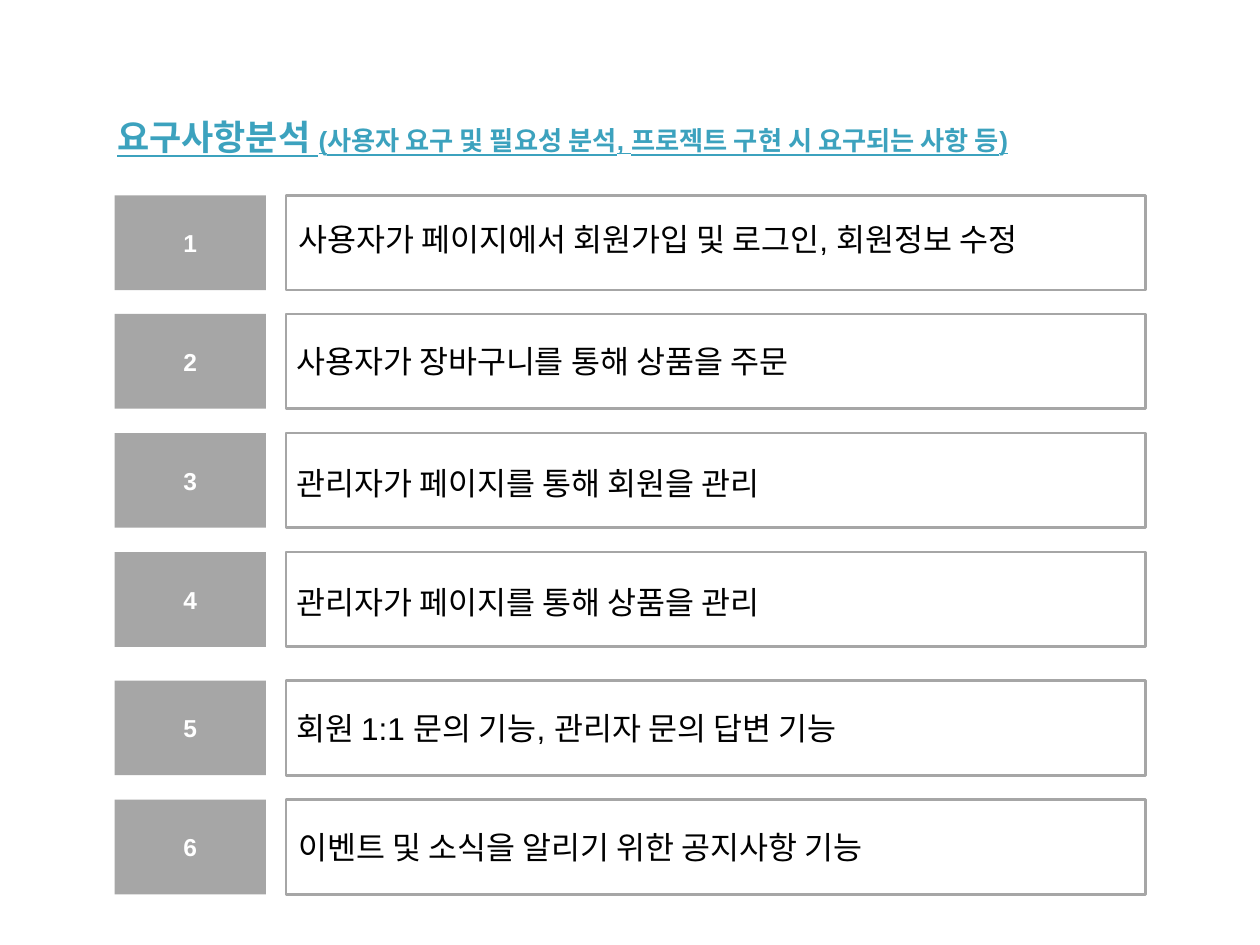
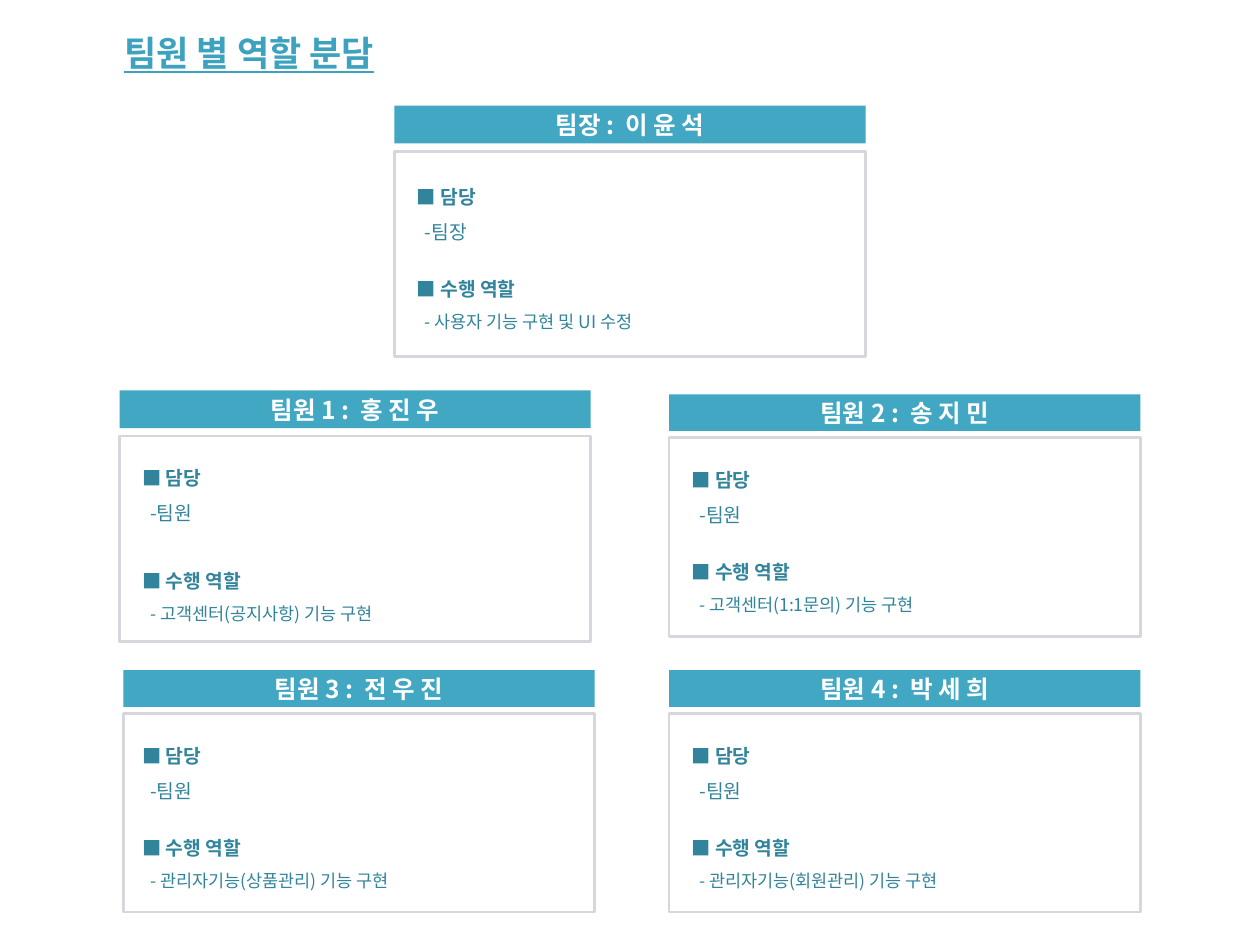
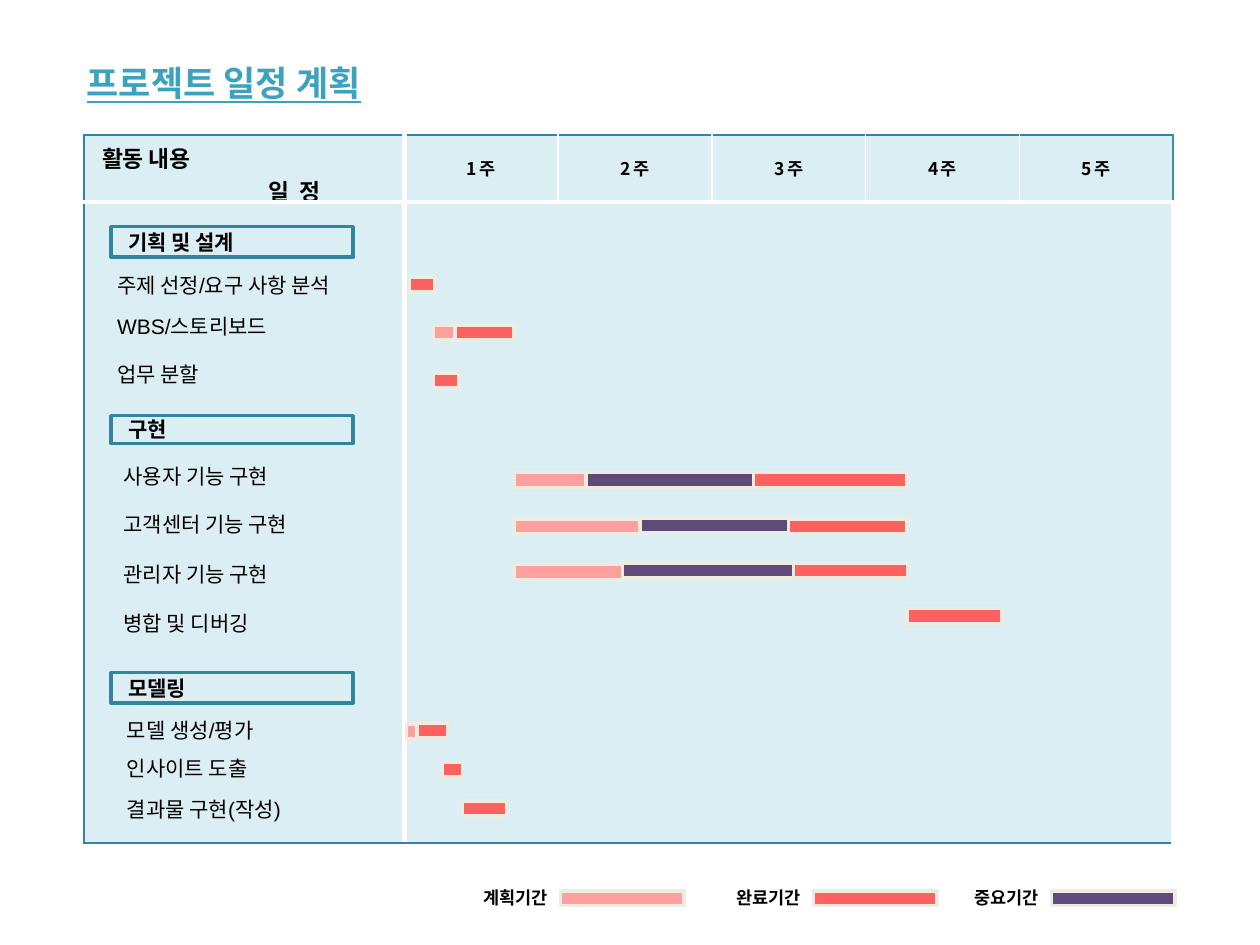
"""Build the requirements, team roles and schedule slides of a project plan."""
from lxml import etree
from pptx import Presentation
from pptx.dml.color import RGBColor
from pptx.enum.shapes import MSO_SHAPE
from pptx.enum.text import MSO_ANCHOR, PP_ALIGN
from pptx.oxml.ns import qn
from pptx.util import Cm, Pt

RECTANGLE = MSO_SHAPE.RECTANGLE
MIDDLE, CENTER = MSO_ANCHOR.MIDDLE, PP_ALIGN.CENTER
ARIAL, NOTO = "Arial", "Noto Sans CJK KR"

WHITE = RGBColor(0xFF, 0xFF, 0xFF)
BLACK = RGBColor(0x00, 0x00, 0x00)
TITLE_BLUE = RGBColor(0x3C, 0xA2, 0xBE)
GRAY = RGBColor(0xA6, 0xA6, 0xA6)
BAND_BLUE = RGBColor(0x41, 0xA7, 0xC3)
CARD_EDGE = RGBColor(0xD6, 0xD7, 0xDE)
ROLE_TEAL = RGBColor(0x31, 0x84, 0x9B)
GRID_TEAL = RGBColor(0x31, 0x85, 0x9C)
GRID_RIGHT = RGBColor(0x36, 0x93, 0xAC)
PALE_BLUE = RGBColor(0xDB, 0xEE, 0xF4)
BAR_EDGE = RGBColor(0xEE, 0xEC, 0xE1)
PLANNED = RGBColor(0xFF, 0x9F, 0x9F)
DONE = RGBColor(0xFF, 0x61, 0x61)
KEY = RGBColor(0x60, 0x4A, 0x7B)

REQUIREMENTS_TITLE = [("요구사항분석 ", 20),
                      ("(사용자 요구 및 필요성 분석, 프로젝트 구현 시 요구되는 사항 등)", 15)]
# requirement, row top, text left, text top
REQUIREMENTS = [
    ("사용자가 페이지에서 회원가입 및 로그인, 회원정보 수정", 3.94, 5.77, 4.32),
    ("사용자가 장바구니를 통해 상품을 주문", 6.33, 5.72, 6.78),
    ("관리자가 페이지를 통해 회원을 관리", 8.73, 5.72, 9.22),
    ("관리자가 페이지를 통해 상품을 관리", 11.13, 5.72, 11.63),
    ("회원 1:1 문의 기능, 관리자 문의 답변 기능", 13.72, 5.72, 14.17),
    ("이벤트 및 소식을 알리기 위한 공지사항 기능", 16.12, 5.77, 16.56),
]

ROLES_TITLE = [("팀원 별 역할 분담", 20)]
TALL_CARD = {"band": 0.76, "body_offset": 0.92, "body": 4.14}
LOW_CARD = {"band": 0.74, "body_offset": 0.87, "body": 4.01}
# member, position, task, left, top, text left, text height, gap before task, card size
MEMBERS = [
    ("팀장 :  이 윤 석", "-팀장", "- 사용자 기능 구현 및 UI 수정",
     7.95, 2.13, 8.15, 3.48, 13, TALL_CARD),
    ("팀원 1 :  홍 진 우", "-팀원", "- 고객센터(공지사항) 기능 구현",
     2.41, 7.87, 2.62, 3.63, 19, TALL_CARD),
    ("팀원 2 :  송 지 민", "-팀원", "- 고객센터(1:1문의) 기능 구현",
     13.49, 7.95, 13.69, 3.48, 13, LOW_CARD),
    ("팀원 3 :  전 우 진", "-팀원", "- 관리자기능(상품관리) 기능 구현",
     2.49, 13.51, 2.62, 3.48, 13, LOW_CARD),
    ("팀원 4 :  박 세 희", "-팀원", "- 관리자기능(회원관리) 기능 구현",
     13.49, 13.51, 13.69, 3.48, 13, LOW_CARD),
]

SCHEDULE_TITLE = [("프로젝트 일정 계획", 20)]
SCHEDULE_CORNER = (" 활동 내용", "일  정")
WEEKS = ["1  주", "2  주", "3  주", "4  주", "5  주"]
# phase, top, height, left of its tasks, tasks as (name, top, bars as (left, top, width, state))
PHASES = [
    (" 기획 및 설계", 4.57, 0.61, 2.11, [
        ("주제 선정/요구 사항 분석", 5.36, [(8.26, 5.59, 0.51, DONE)]),
        ("WBS/스토리보드", 6.2, [(8.74, 6.55, 0.51, PLANNED), (9.17, 6.55, 1.19, DONE)]),
        ("업무 분할", 7.16, [(8.74, 7.52, 0.51, DONE)]),
    ]),
    (" 구현", 8.38, 0.56, 2.24, [
        ("사용자 기능 구현", 9.22, [(10.36, 9.53, 1.5, PLANNED), (11.81, 9.53, 3.4, KEY),
                             (15.19, 9.53, 3.1, DONE)]),
        ("고객센터 기능 구현", 10.19, [(10.36, 10.46, 2.59, PLANNED), (12.9, 10.44, 3.0, KEY),
                               (15.9, 10.46, 2.39, DONE)]),
        ("관리자 기능 구현", 11.2, [(10.36, 11.38, 2.21, PLANNED), (12.55, 11.35, 3.51, KEY),
                             (16.0, 11.35, 2.31, DONE)]),
        ("병합 및 디버깅", 12.19, [(18.29, 12.27, 1.91, DONE)]),
    ]),
    (" 모델링", 13.56, 0.61, 2.31, [
        ("모델 생성/평가", 14.35, [(8.2, 14.6, 0.2, PLANNED), (8.41, 14.58, 0.61, DONE)]),
        ("인사이트 도출", 15.11, [(8.92, 15.37, 0.41, DONE)]),
        ("결과물 구현(작성)", 15.93, [(9.32, 16.15, 0.89, DONE)]),
    ]),
]
LEGEND = [("계획기간", 9.5, PLANNED), ("완료기간", 14.6, DONE), ("중요기간", 19.4, KEY)]


def style(paragraph, size, color, font=ARIAL, bold=False, underline=False):
    for run in paragraph.runs:
        run.font.size = Pt(size)
        run.font.name = font
        run.font.bold = bold
        run.font.underline = underline
        run.font.color.rgb = color
        east_asian = etree.SubElement(run.font._element, qn("a:ea"))
        east_asian.set("typeface", NOTO)


def indent(paragraph, distance):
    paragraph._p.get_or_add_pPr().set("marL", str(Cm(distance)))


def add_rect(slide, left, top, width, height, fill=None, edge=None, edge_width=1.5):
    rect = slide.shapes.add_shape(RECTANGLE, Cm(left), Cm(top), Cm(width), Cm(height))
    rect.shadow.inherit = False
    if fill is None:
        rect.fill.background()
    else:
        rect.fill.solid()
        rect.fill.fore_color.rgb = fill
    if edge is None:
        rect.line.fill.background()
    else:
        rect.line.color.rgb = edge
        rect.line.width = Pt(edge_width)
    return rect


def add_label(rect, text, size, color, font=ARIAL, align=CENTER):
    rect.text_frame.text = text
    rect.text_frame.vertical_anchor = MIDDLE
    paragraph = rect.text_frame.paragraphs[0]
    paragraph.alignment = align
    style(paragraph, size, color, font, bold=True)


def add_text(slide, text, left, top, width, height, size, bold=False):
    frame = slide.shapes.add_textbox(Cm(left), Cm(top), Cm(width), Cm(height)).text_frame
    frame.word_wrap = True
    frame.text = text
    style(frame.paragraphs[0], size, BLACK, bold=bold)


def add_title(slide, parts, left, top, width):
    frame = slide.shapes.add_textbox(Cm(left), Cm(top), Cm(width), Cm(1.12)).text_frame
    heading = frame.paragraphs[0]
    for text, _ in parts:
        heading.add_run().text = text
    style(heading, parts[0][1], TITLE_BLUE, bold=True, underline=True)
    for run, (_, size) in zip(heading.runs, parts):
        run.font.size = Pt(size)


def build_requirements(slide):
    add_title(slide, REQUIREMENTS_TITLE, 2.11, 2.21, 22.68)
    for number, (requirement, top, text_left, text_top) in enumerate(REQUIREMENTS, 1):
        number_box = add_rect(slide, 2.31, top, 3.05, 1.91, fill=GRAY)
        add_label(number_box, str(number), 14, WHITE)
        add_rect(slide, 5.77, top, 17.32, 1.91, edge=GRAY)
        add_text(slide, requirement, text_left, text_top, 17.32, 1.02, 18)


def add_member(slide, member, position, task, left, top, text_left, text_height, gap, size):
    band = add_rect(slide, left, top, 9.5, size["band"], fill=BAND_BLUE)
    add_label(band, member, 14, WHITE, NOTO)
    body_top = top + size["body_offset"]
    add_rect(slide, left, body_top, 9.5, size["body"], edge=CARD_EDGE)
    text_top = body_top + (size["body"] - text_height) / 2
    frame = slide.shapes.add_textbox(
        Cm(text_left), Cm(text_top), Cm(9.09), Cm(text_height)).text_frame
    frame.word_wrap = True
    frame.text = "\n".join(["■ 담당", position, "■ 수행 역할", task])
    for paragraph, text_size, heading in zip(
            frame.paragraphs, (11, 11, 11, 10), (True, False, True, False)):
        paragraph.line_spacing = 1.5
        style(paragraph, text_size, ROLE_TEAL, NOTO, bold=heading)
        if not heading:
            indent(paragraph, 0.16)
    frame.paragraphs[2].space_before = Pt(gap)


def build_roles(slide):
    add_title(slide, ROLES_TITLE, 2.26, 0.51, 6.25)
    for member in MEMBERS:
        add_member(slide, *member)


def set_borders(cell, **edges):
    properties = cell._tc.get_or_add_tcPr()
    for position, side in enumerate(("left", "right", "top", "bottom")):
        color, width = edges[side]
        line = etree.Element(qn("a:ln" + side[0].upper()), w=str(Pt(width)))
        solid = etree.SubElement(line, qn("a:solidFill"))
        etree.SubElement(solid, qn("a:srgbClr"), val=str(color))
        properties.insert(position, line)


def add_schedule_grid(slide):
    last = len(WEEKS)
    grid = slide.shapes.add_table(
        2, last + 1, Cm(1.7), Cm(2.72), Cm(21.95), Cm(14.28)).table
    grid.first_row = grid.horz_banding = False
    for index, column in enumerate(grid.columns):
        column.width = Cm(3.1 if index else 6.45)
    grid.rows[0].height, grid.rows[1].height = Cm(1.35), Cm(12.93)

    outer = (GRID_TEAL, 1.5)
    for row in range(2):
        for column in range(last + 1):
            cell = grid.cell(row, column)
            cell.fill.solid()
            cell.fill.fore_color.rgb = PALE_BLUE
            divider = (WHITE, 2.25 if row else 1)
            rule = (WHITE, 2.25 if column else 3)
            set_borders(
                cell,
                left=outer if column == 0 else (WHITE, 3) if column == 1 else divider,
                right=(GRID_RIGHT, 1.5) if column == last else divider if column else (WHITE, 3),
                top=rule if row else outer,
                bottom=outer if row else rule)
    grid.cell(1, 1).merge(grid.cell(1, last))

    corner = grid.cell(0, 0)
    corner.margin_bottom = 0
    corner.text_frame.text = "\n".join(SCHEDULE_CORNER)
    for paragraph in corner.text_frame.paragraphs:
        style(paragraph, 13, BLACK, NOTO, bold=True)
    indent(corner.text_frame.paragraphs[1], 3.45)
    for column, week in enumerate(WEEKS, 1):
        cell = grid.cell(0, column)
        cell.vertical_anchor = MIDDLE
        cell.text_frame.text = week
        paragraph = cell.text_frame.paragraphs[0]
        paragraph.alignment = CENTER
        style(paragraph, 10, BLACK, NOTO, bold=True)
        paragraph.runs[0].font._element.set("spc", "-150")


def add_bar(slide, left, top, width, state):
    add_rect(slide, left, top, width, 0.3, fill=state, edge=BAR_EDGE, edge_width=2)


def build_schedule(slide):
    add_schedule_grid(slide)
    add_title(slide, SCHEDULE_TITLE, 1.5, 1.12, 6.71)
    for phase, top, height, task_left, tasks in PHASES:
        phase_box = add_rect(slide, 2.24, top, 4.88, height, edge=GRID_TEAL, edge_width=2)
        add_label(phase_box, phase, 12, BLACK, NOTO, PP_ALIGN.LEFT)
        for task, task_top, bars in tasks:
            add_text(slide, task, task_left, task_top, 5.64, 0.76, 12)
            for bar in bars:
                add_bar(slide, *bar)
    for state_name, left, state in LEGEND:
        add_bar(slide, left + 1.8, 17.96, 2.49, state)
        add_text(slide, state_name, left, 17.75, 2.21, 0.69, 10, bold=True)


def main():
    deck = Presentation()
    deck.slide_width, deck.slide_height = Cm(25.4), Cm(19.05)
    blank = deck.slide_layouts[6]
    for build in (build_requirements, build_roles, build_schedule):
        build(deck.slides.add_slide(blank))
    deck.save("out.pptx")


if __name__ == "__main__":
    main()
